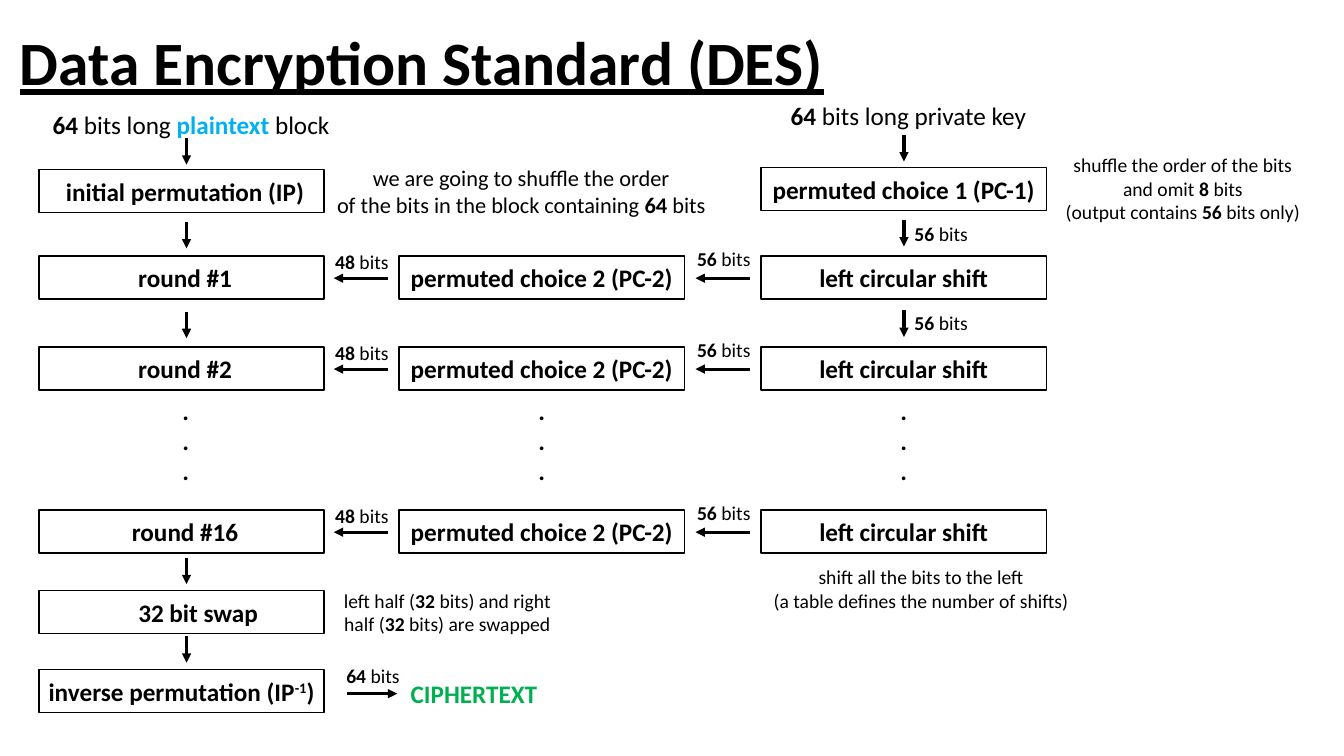
import pptx
import pptx.dml.color
import pptx.enum.shapes
import pptx.enum.text
import pptx.oxml.ns
import pptx.util
from lxml import etree
from pptx.util import Cm

COLORS = {"ink": "000000", "paper": "FFFFFF", "plaintext": "00B0F0", "ciphertext": "00B050"}
BLOCK_LEFT, CHOICE_LEFT, KEY_LEFT = 0.98, 10.06, 19.18
BLOCK_AXIS, KEY_AXIS = 4.7, 22.78
BOX_WIDTH, BOX_HEIGHT = 7.19, 1.09
ROUND_SHIFT = 0.18
ARROW_LENGTH = 0.67
ROUNDS = {1: 6.45, 2: 8.74, 16: 12.85}


def color(name):
    """Return the named colour."""
    return pptx.dml.color.RGBColor.from_string(COLORS[name])


def write(frame, lines, size, ink="ink"):
    """Write centred lines in which asterisks enclose bold words."""
    frame.word_wrap = False
    frame.text = "\n".join(line.replace("*", "") for line in lines)
    for para, line in zip(frame.paragraphs, lines):
        para.alignment = pptx.enum.text.PP_ALIGN.CENTER
        para.text = ""
        for index, words in enumerate(line.split("*")):
            if words:
                span = para.add_run()
                span.text = words
                span.font.name = "Calibri"
                span.font.size = pptx.util.Pt(size)
                span.font.bold = index % 2 == 1
                span.font.color.rgb = color(ink)


def add_label(page, left, top, width, height, lines, size, ink="ink"):
    """Add free text and return its frame."""
    box = page.shapes.add_textbox(Cm(left), Cm(top), Cm(width), Cm(height))
    write(box.text_frame, lines, size, ink)
    return box.text_frame


def add_bits(page, left, top, count):
    """Add a small label with a number of bits."""
    add_label(page, left, top, 1.88, 0.86, [f"*{count}* bits"], 14)


def add_step(page, left, top, text, shift=0):
    """Add an outlined step whose text may sit right of the centre."""
    box = page.shapes.add_shape(
        pptx.enum.shapes.MSO_SHAPE.RECTANGLE, Cm(left), Cm(top), Cm(BOX_WIDTH), Cm(BOX_HEIGHT))
    box.shadow.inherit = False
    box.fill.solid()
    box.fill.fore_color.rgb = color("paper")
    box.line.color.rgb = color("ink")
    box.line.width = pptx.util.Pt(1)
    frame = box.text_frame
    frame.margin_left, frame.margin_right = Cm(shift), Cm(0)
    frame.margin_top = frame.margin_bottom = Cm(0)
    frame.vertical_anchor = pptx.enum.text.MSO_ANCHOR.MIDDLE
    write(frame, [f"*{text}*"], 18)
    return frame


def add_arrow(page, start_x, start_y, end_x, end_y):
    """Add a straight arrow."""
    arrow = page.shapes.add_connector(
        pptx.enum.shapes.MSO_CONNECTOR.STRAIGHT, Cm(start_x), Cm(start_y), Cm(end_x), Cm(end_y))
    arrow.line.color.rgb = color("ink")
    arrow.line.width = pptx.util.Pt(2.25)
    outline = arrow.line._get_or_add_ln()
    etree.SubElement(outline, pptx.oxml.ns.qn("a:tailEnd"), type="triangle")
    etree.SubElement(arrow._element.spPr, pptx.oxml.ns.qn("a:effectLst"))


def add_title(page):
    """Add the underlined heading."""
    frame = add_label(page, 0.25, -0.18, 29.21, 3.68, ["*Data Encryption Standard (DES)*"], 44)
    frame.word_wrap = True
    frame.vertical_anchor = pptx.enum.text.MSO_ANCHOR.MIDDLE
    para = frame.paragraphs[0]
    para.alignment = pptx.enum.text.PP_ALIGN.LEFT
    para.line_spacing = 0.9
    para.runs[0].font.underline = True


def add_round(page, number, top):
    """Add one round with its subkey and key shift."""
    add_step(page, BLOCK_LEFT, top, f"round #{number}", ROUND_SHIFT)
    add_step(page, CHOICE_LEFT, top, "permuted choice 2 (PC-2)")
    add_step(page, KEY_LEFT, top, "left circular shift")
    add_bits(page, 8.18, top - 0.28, 48)
    add_bits(page, 17.3, top - 0.36, 56)
    for start in (9.78, 18.9):
        add_arrow(page, start, top + 0.56, start - 1.37, top + 0.56)


def add_block_column(page):
    """Add the start and end of the plaintext's way."""
    source = add_label(page, 1.03, 2.62, 7.57, 1.02, ["*64* bits long *plaintext* block"], 18)
    source.paragraphs[0].runs[2].font.color.rgb = color("plaintext")
    add_step(page, BLOCK_LEFT, 4.27, "initial permutation (IP)", ROUND_SHIFT)
    add_step(page, BLOCK_LEFT, 14.88, "32 bit swap", 0.84)
    inverse = add_step(page, BLOCK_LEFT, 16.87, "inverse permutation (IP**-1**)")
    inverse.paragraphs[0].runs[1]._r.get_or_add_rPr().set("baseline", "30000")
    for top in (3.48, 5.59, 7.85, 14.05, 16.03):
        add_arrow(page, BLOCK_AXIS, top, BLOCK_AXIS, top + ARROW_LENGTH)
    add_bits(page, 8.46, 16.61, 64)
    add_arrow(page, 8.74, 17.48, 10.01, 17.48)
    add_label(page, 10.08, 16.97, 3.73, 1.02, ["*CIPHERTEXT*"], 18, "ciphertext")


def add_key_column(page):
    """Add the start of the key schedule."""
    add_label(page, 19.63, 2.41, 6.53, 1.02, ["*64* bits long private key"], 18)
    add_step(page, KEY_LEFT, 4.22, "permuted choice 1 (PC-1)")
    for top in (3.4, 5.54, 7.82):
        add_arrow(page, KEY_AXIS, top, KEY_AXIS, top + ARROW_LENGTH)
    for top in (5.46, 7.72):
        add_bits(page, KEY_AXIS, top, 56)


def add_notes(page):
    """Add the explanations beside the steps."""
    add_label(page, 8.18, 4.01, 9.91, 1.63, [
        "we are going to shuffle the order",
        "of the bits in the block containing *64* bits"], 16)
    add_label(page, 26.57, 3.73, 6.48, 2.06, [
        "shuffle the order of the bits", "and omit *8* bits",
        "(output contains *56* bits only)"], 14)
    add_label(page, 8.33, 14.71, 5.89, 1.45, [
        "left half (*32* bits) and right", "half (*32* bits) are swapped"], 14)
    add_label(page, 19.2, 14.12, 8.03, 1.45, [
        "shift all the bits to the left", "(a table defines the number of shifts)"], 14)


def main():
    """Build the DES slide."""
    deck = pptx.Presentation()
    deck.slide_width, deck.slide_height = Cm(33.87), Cm(19.05)
    page = deck.slides.add_slide(deck.slide_layouts[6])
    add_title(page)
    add_block_column(page)
    add_key_column(page)
    for number, top in ROUNDS.items():
        add_round(page, number, top)
    for left in (4.34, 13.31, 22.43):
        add_label(page, left, 9.83, 0.69, 2.57, ["*.*"] * 3, 18)
    add_notes(page)
    deck.save("out.pptx")


if __name__ == "__main__":
    main()
